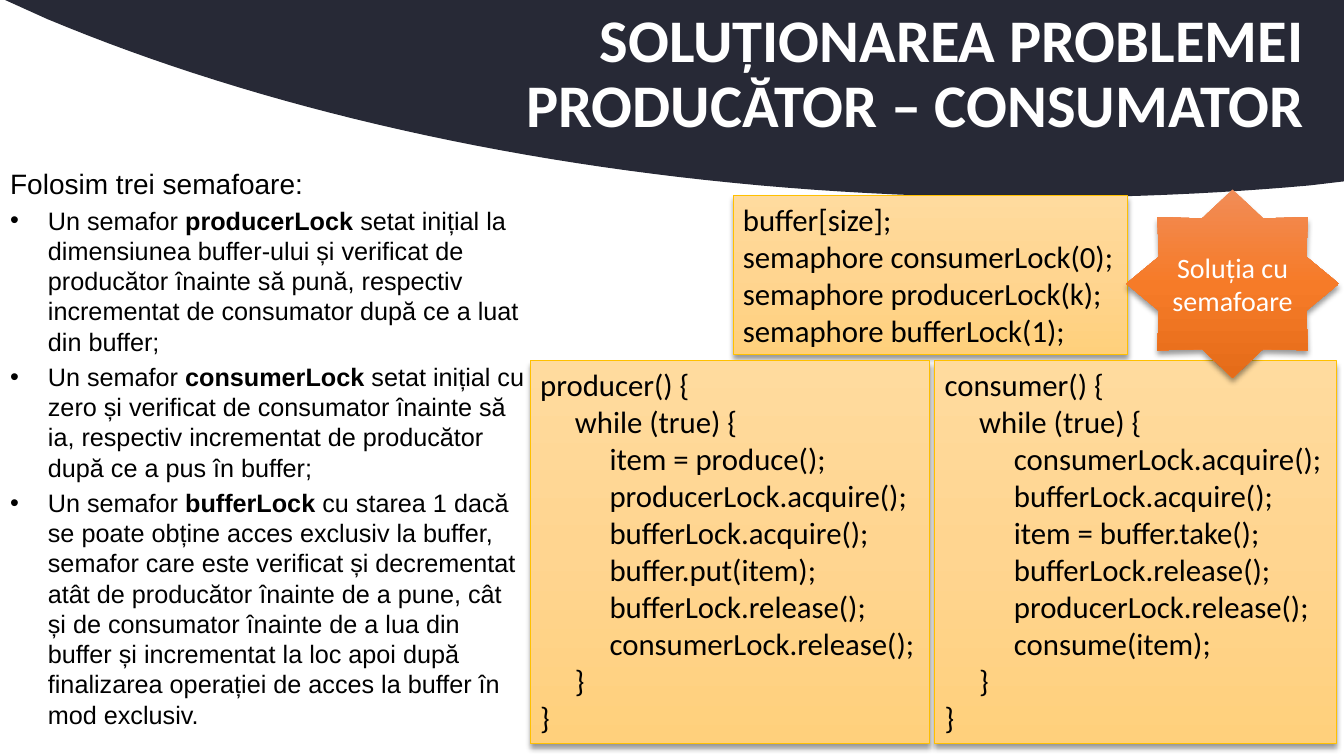
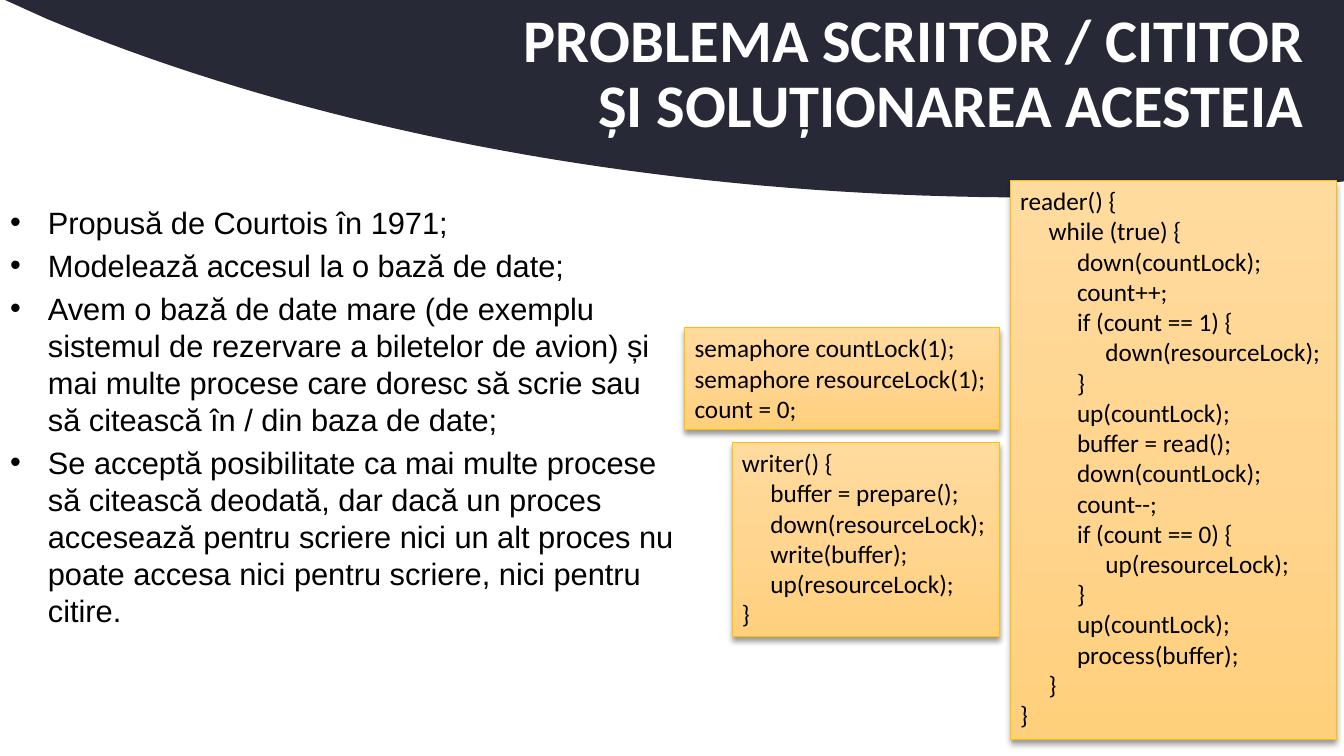
import pptx
import pptx.dml.color
import pptx.enum.shapes
import pptx.enum.text
import pptx.oxml.ns
import pptx.util
from lxml import etree

PX = 9144  # EMU in one px, 100 px to the inch

RECT = pptx.enum.shapes.MSO_SHAPE.RECTANGLE
STAR = pptx.enum.shapes.MSO_SHAPE.STAR_8_POINT
ALIGN = pptx.enum.text.PP_ALIGN
ANCHOR = pptx.enum.text.MSO_ANCHOR
AUTO = pptx.enum.text.MSO_AUTO_SIZE
qn = pptx.oxml.ns.qn


def px(*lengths):
    return [round(length * PX) for length in lengths]


def rgb(code):
    return pptx.dml.color.RGBColor.from_string(code)


def bezier(a, b, c, d, steps=40):
    """Points along a cubic curve, without its first point."""
    for i in range(1, steps + 1):
        t = i / steps
        u = 1 - t
        yield tuple(u**3 * w + 3 * u * u * t * x + 3 * u * t * t * y + t**3 * z
                    for w, x, y, z in zip(a, b, c, d))


class Deck:
    DARK, WHITE, BLACK, GOLD = "272936", "FFFFFF", "000000", "FFC000"
    CODE_FILL = ("FFDB9E", "FFD590", "FFD07C")
    STAR_FILL = ("F18C57", "F67B28", "E56C19")
    HEAD_FONT, BODY_FONT = "Calibri", "Arial"

    def __init__(self):
        self.prs = pptx.Presentation()
        self.prs.slide_width, self.prs.slide_height = px(1333, 750)
        self.layout = self.prs.slide_layouts[1]

    def font(self, run, size, name, color, bold=False):
        run.font.size, run.font.name = pptx.util.Pt(size), name
        run.font.bold = bold
        run.font.color.rgb = rgb(color)

    def place(self, sp, box):
        sp.left, sp.top, sp.width, sp.height = px(*box)

    def slide(self, title):
        self.s = self.prs.slides.add_slide(self.layout)
        sp = self.s.shapes.title
        self.place(sp, (92, 2, 1241, 145))
        tf = sp.text_frame
        tf.text = title
        tf.auto_size, tf.vertical_anchor = AUTO.NONE, ANCHOR.MIDDLE
        tf.margin_right, = px(40)
        p = tf.paragraphs[0]
        p.alignment, p.line_spacing = ALIGN.RIGHT, 0.9
        for r in p.runs:
            self.font(r, 43.2, self.HEAD_FONT, self.WHITE, True)

    def band(self):
        """Draw the curved band and move it to the layout all slides share."""
        right, low, left = (1299, 184), (1026, 196), (47, 19)
        points = [(1333, 0), (1333, 180), right,
                  *bezier(right, (1210, 192), (1119, 196), low),
                  *bezier(low, (654, 196), (313, 130), left)]
        builder = self.s.shapes.build_freeform(*px(5, 0))
        builder.add_line_segments([px(*point) for point in points])
        sp = builder.convert_to_shape()
        sp.fill.solid()
        sp.fill.fore_color.rgb = rgb(self.DARK)
        sp.line.fill.background()
        sp.shadow.inherit = False
        self.layout.shapes.element.insert(2, sp.element)

    def body(self, box, size, items, intro=None):
        """Bulleted list; **word** is bold, intro is a line without bullet."""
        sp = self.s.placeholders[1]
        self.place(sp, box)
        tf = sp.text_frame
        tf.auto_size = AUTO.NONE
        lines = [(item, size) for item in items]
        if intro:
            lines.insert(0, (intro, 20))
        for i, (text, points) in enumerate(lines):
            p = tf.add_paragraph() if i else tf.paragraphs[0]
            if i == 0:
                p.space_before = pptx.util.Pt(0)
            if intro and i == 0:
                pPr = p._p.get_or_add_pPr()
                pPr.set("marL", "0")
                pPr.set("indent", "0")
                etree.SubElement(pPr, qn("a:buNone"))
            for j, part in enumerate(text.split("**")):
                r = p.add_run()
                r.text = part
                self.font(r, points, self.BODY_FONT, self.BLACK, j % 2 == 1)

    def shape(self, kind, box, colors, text, size, color, align):
        """Preset shape with a vertical gradient, a soft shadow and text."""
        sp = self.s.shapes.add_shape(kind, *px(*box))
        sp.fill.gradient()
        sp.fill.gradient_angle = 270
        spPr = sp.element.spPr
        stops = spPr.find(".//" + qn("a:gsLst"))
        stops.clear()
        for i, code in enumerate(colors):
            gs = etree.SubElement(stops, qn("a:gs"), pos=str(i * 50000))
            etree.SubElement(gs, qn("a:srgbClr"), val=code)
        sp.shadow.inherit = False
        shadow = etree.SubElement(
            spPr.find(qn("a:effectLst")), qn("a:outerShdw"), blurRad="50800",
            dist="38100", dir="5400000", rotWithShape="0")
        black = etree.SubElement(shadow, qn("a:srgbClr"), val=self.BLACK)
        etree.SubElement(black, qn("a:alpha"), val="40000")
        tf = sp.text_frame
        tf.text = text
        for p in tf.paragraphs:
            p.alignment = align
            for r in p.runs:
                self.font(r, size, self.HEAD_FONT, color)
        return sp

    def code(self, box, size, text):
        sp = self.shape(RECT, box, self.CODE_FILL, text, size, self.BLACK, ALIGN.LEFT)
        sp.line.color.rgb = rgb(self.GOLD)
        sp.line.width = pptx.util.Pt(0.5)
        tf = sp.text_frame
        tf.word_wrap, tf.auto_size = False, AUTO.SHAPE_TO_FIT_TEXT
        tf.vertical_anchor = ANCHOR.TOP

    def star(self, box, text):
        sp = self.shape(STAR, box, self.STAR_FILL, text, 20, self.WHITE, ALIGN.CENTER)
        sp.line.fill.background()
        sp.text_frame.word_wrap = True
        sp.text_frame.vertical_anchor = ANCHOR.MIDDLE


SEMAPHORES = """buffer[size];
semaphore consumerLock(0);
semaphore producerLock(k);
semaphore bufferLock(1);"""

PRODUCER = """producer() {
     while (true) {
          item = produce();
          producerLock.acquire();
          bufferLock.acquire();
          buffer.put(item);
          bufferLock.release();
          consumerLock.release();
     }
}"""

CONSUMER = """consumer() {
     while (true) {
          consumerLock.acquire();
          bufferLock.acquire();
          item = buffer.take();
          bufferLock.release();
          producerLock.release();
          consume(item);
     }
}"""

COUNTERS = """semaphore countLock(1);
semaphore resourceLock(1);
count = 0;"""

READER = """reader() {
     while (true) {
          down(countLock);
          count++;
          if (count == 1) {
               down(resourceLock);
          }
          up(countLock);
          buffer = read();
          down(countLock);
          count--;
          if (count == 0) {
               up(resourceLock);
          }
          up(countLock);
          process(buffer);
     }
}"""

WRITER = """writer() {
     buffer = prepare();
     down(resourceLock);
     write(buffer);
     up(resourceLock);
}"""


def main():
    deck = Deck()

    deck.slide("SOLUȚIONAREA PROBLEMEI\vPRODUCĂTOR – CONSUMATOR")
    deck.band()
    deck.body((0, 160, 532, 588), 18, [
        "Un semafor **producerLock **setat inițial la dimensiunea buffer-ului și "
        "verificat de producător înainte să pună, respectiv incrementat de "
        "consumator după ce a luat din buffer;",
        "Un semafor **consumerLock **setat inițial cu zero și verificat de "
        "consumator înainte să ia, respectiv incrementat de producător după ce "
        "a pus în buffer;",
        "Un semafor **bufferLock** cu starea 1 dacă se poate obține acces exclusiv "
        "la buffer, semafor care este verificat și decrementat atât de producător "
        "înainte de a pune, cât și de consumator înainte de a lua din buffer și "
        "incrementat la loc apoi după finalizarea operației de acces la buffer "
        "în mod exclusiv.",
    ], intro="Folosim trei semafoare:")
    deck.code((727, 194, 391, 158), 22, SEMAPHORES)
    deck.code((526, 358, 396, 380), 22, PRODUCER)
    deck.code((927, 358, 398, 380), 22, CONSUMER)
    deck.star((1117, 188, 211, 187), "Soluția cu semafoare")

    deck.slide("PROBLEMA SCRIITOR / CITITOR\vȘI SOLUȚIONAREA ACESTEIA")
    deck.body((0, 197, 686, 551), 22, [
        "Propusă de Courtois în 1971;",
        "Modelează accesul la o bază de date;",
        "Avem o bază de date mare (de exemplu sistemul de rezervare a biletelor "
        "de avion) și mai multe procese care doresc să scrie sau să citească "
        "în / din baza de date;",
        "Se acceptă posibilitate ca mai multe procese să citească deodată, dar "
        "dacă un proces accesează pentru scriere nici un alt proces nu poate "
        "accesa nici pentru scriere, nici pentru citire.",
    ])
    deck.code((679, 325, 312, 101), 18, COUNTERS)
    deck.code((1002, 179, 323, 555), 18, READER)
    deck.code((726, 439, 265, 192), 18, WRITER)

    deck.prs.save("out.pptx")


if __name__ == "__main__":
    main()
